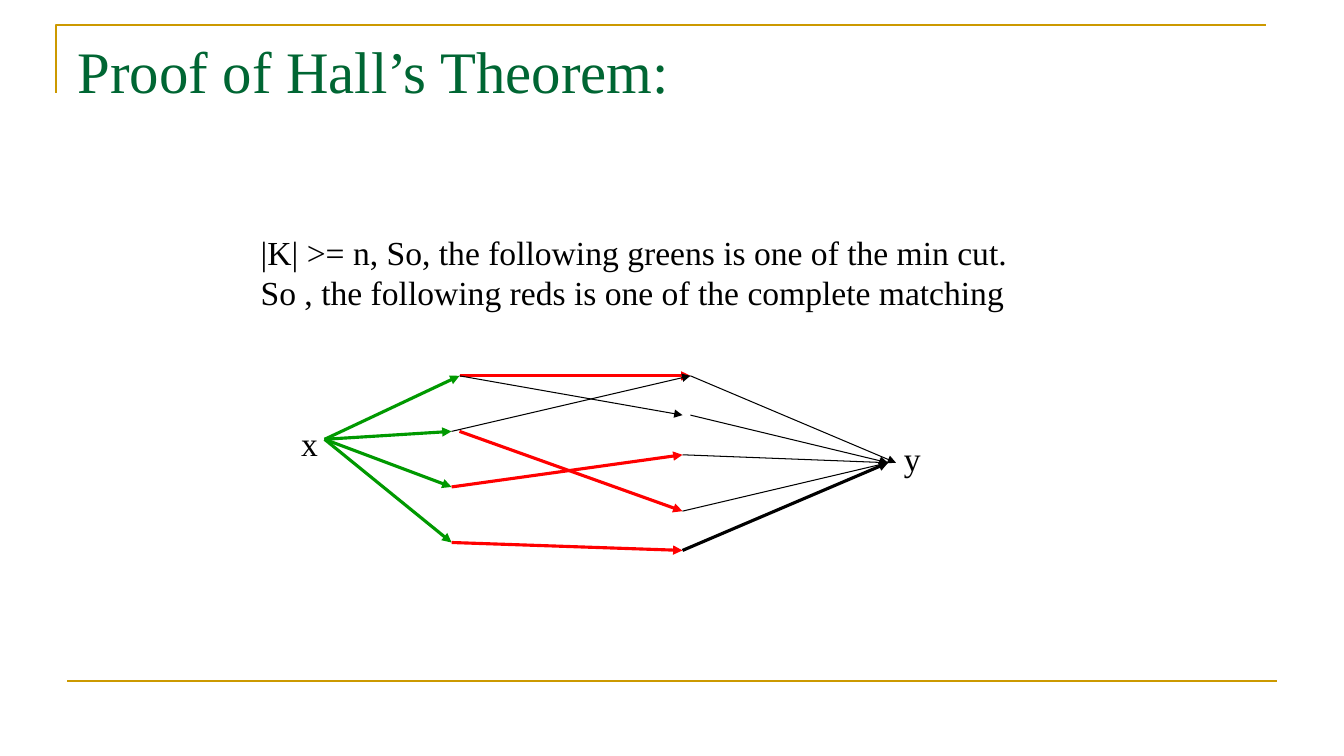
from pptx import Presentation
from pptx.dml.color import RGBColor
from pptx.enum.shapes import MSO_CONNECTOR
from pptx.enum.text import MSO_ANCHOR, MSO_AUTO_SIZE
from pptx.oxml.ns import qn
from pptx.util import Cm, Pt
from lxml.etree import SubElement

GOLD = RGBColor(0xCC, 0x99, 0x00)
TITLE_GREEN = RGBColor(0x00, 0x66, 0x33)
CUT_GREEN = RGBColor(0x00, 0x99, 0x00)
MATCH_RED = RGBColor(0xFF, 0x00, 0x00)
BLACK = RGBColor(0x00, 0x00, 0x00)
THIN, THICK = 0.75, 2.25

deck = Presentation()
deck.slide_width, deck.slide_height = Cm(33.87), Cm(19.05)
page = deck.slides.add_slide(deck.slide_layouts[6])


def add_text(lines, left, top, width, height, size, color, wrap=False):
    box = page.shapes.add_textbox(Cm(left), Cm(top), Cm(width), Cm(height))
    frame = box.text_frame
    frame.word_wrap = wrap
    frame.auto_size = MSO_AUTO_SIZE.NONE if wrap else MSO_AUTO_SIZE.SHAPE_TO_FIT_TEXT
    frame.vertical_anchor = MSO_ANCHOR.TOP
    frame.text = "\n".join(lines)
    for para in frame.paragraphs:
        para.font.name = "Times New Roman"
        para.font.size = Pt(size)
        para.font.color.rgb = color


def add_line(start, end, color, width, arrow=True):
    line = page.shapes.add_connector(
        MSO_CONNECTOR.STRAIGHT, Cm(start[0]), Cm(start[1]), Cm(end[0]), Cm(end[1]))
    line.line.color.rgb = color
    line.line.width = Pt(width)
    if arrow:
        SubElement(line.line._get_or_add_ln(), qn("a:tailEnd"), type="triangle")
    SubElement(line._element.spPr, qn("a:effectLst"))


# Gold frame
outline = page.shapes.build_freeform(Cm(1.42), Cm(2.34))
outline.add_line_segments([(Cm(1.42), Cm(0.64)), (Cm(31.9), Cm(0.64))], close=False)
corner = outline.convert_to_shape()
corner.shadow.inherit = False
corner.fill.background()
corner.line.color.rgb = GOLD
corner.line.width = Pt(1.5)
add_line((1.7, 17.15), (32.18, 17.15), GOLD, 1.5, arrow=False)

# Title and statement
add_text(["Proof of Hall’s Theorem:"], 1.7, 0.76, 30.48, 3.18, 42, TITLE_GREEN, wrap=True)
add_text(["|K| >= n, So, the following greens is one of the min cut.",
          "So , the following reds is one of the complete matching"],
         6.32, 5.72, 19.48, 2.31, 24, BLACK)

# Network: each column has a near and a far x, 0.2 cm apart
source = (8.18, 11.07)
LEFT, LEFT_FAR = 11.38, 11.58
RIGHT, RIGHT_FAR = 17.2, 17.4
SINK, SINK_FAR = 22.38, 22.58
SINK_Y = 11.66
left_y = [9.47 + 1.4 * row for row in range(4)]
right_y = [9.47, 10.46, 11.46, 12.88, 13.87]

# Minimum cut: source to left vertices
for x, y in zip([LEFT_FAR, LEFT, LEFT, LEFT], left_y):
    add_line(source, (x, y), CUT_GREEN, THICK)

# Bipartite edges: start x, left row, end x, right row
for x1, row1, x2, row2, color, width in [
    (LEFT_FAR, 0, RIGHT_FAR, 0, MATCH_RED, THICK),
    (LEFT_FAR, 0, RIGHT, 1, BLACK, THIN),
    (LEFT, 1, RIGHT_FAR, 0, BLACK, THIN),
    (LEFT_FAR, 1, RIGHT, 3, MATCH_RED, THICK),
    (LEFT, 2, RIGHT, 2, MATCH_RED, THICK),
    (LEFT, 3, RIGHT, 4, MATCH_RED, THICK),
]:
    add_line((x1, left_y[row1]), (x2, right_y[row2]), color, width)

# Right vertices to sink
for y, x1, x2, width in zip(
        right_y,
        [RIGHT_FAR, RIGHT_FAR, RIGHT, RIGHT, RIGHT],
        [SINK_FAR, SINK, SINK, SINK, SINK],
        [THIN, THIN, THIN, THIN, THICK]):
    add_line((x1, y), (x2, SINK_Y), BLACK, width)

# Source and sink labels
for name, left, top in [("x", 7.34, 10.52), ("y", 22.53, 10.92)]:
    add_text([name], left, top, 0.94, 1.27, 24, BLACK)

deck.save("out.pptx")
